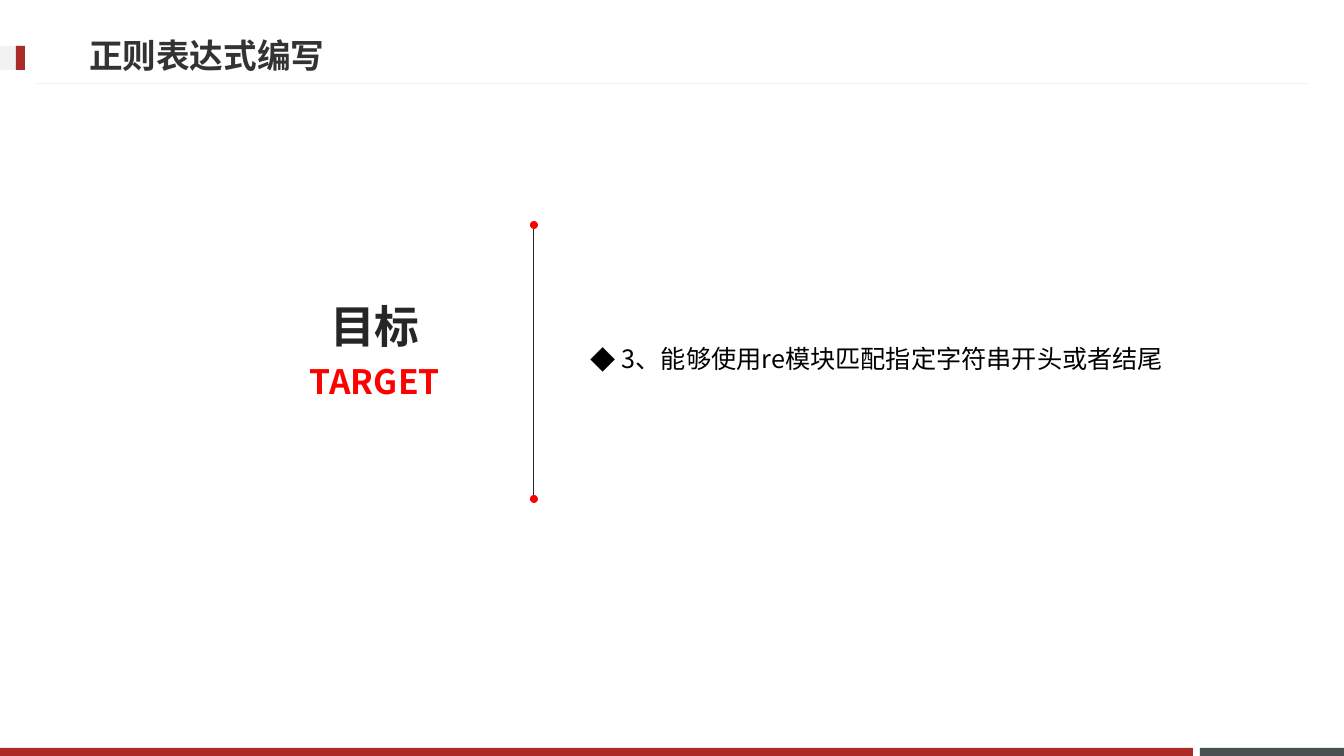
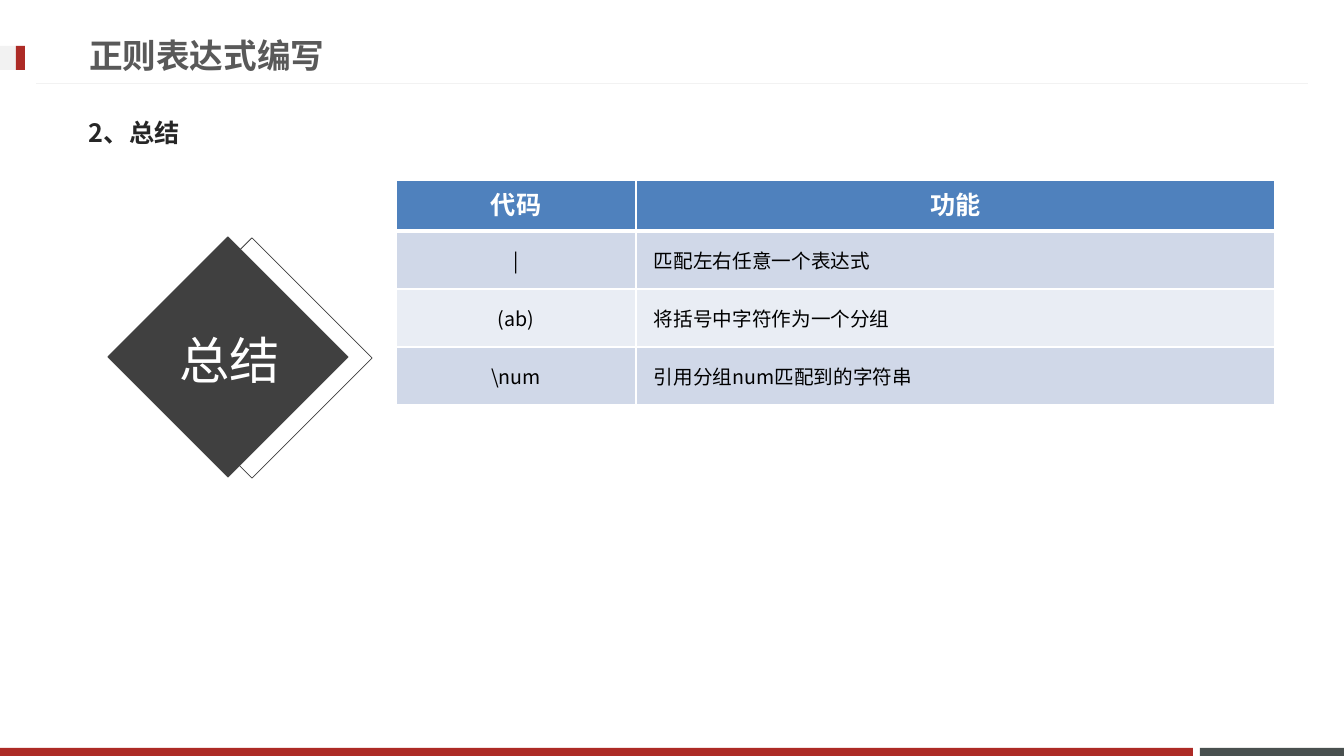
from dataclasses import dataclass

from lxml.etree import SubElement
from pptx import Presentation
from pptx.dml.color import RGBColor
from pptx.enum.shapes import MSO_CONNECTOR, MSO_SHAPE
from pptx.enum.text import MSO_ANCHOR, PP_ALIGN
from pptx.oxml.ns import qn
from pptx.util import Pt

WIDE, HIGH = 1344, 756
SCALE = 12192000 / WIDE


@dataclass(frozen=True)
class Theme:
    red: str = "AD2B26"
    slate: str = "49504F"
    pale: str = "F2F2F2"
    ink: str = "262626"
    dark: str = "404040"
    bright: str = "FF0000"
    white: str = "FFFFFF"
    black: str = "000000"
    head: str = "4F81BD"
    bands: tuple = ("D0D8E8", "E9EDF4")
    font: str = "Noto Sans CJK SC"
    cell: int = 14
    body: int = 18
    title: int = 24
    goal: int = 32
    badge: int = 36


T = Theme()


def px(size):
    return round(size * SCALE)


def rgb(code):
    return RGBColor.from_string(code)


def apply(item, **values):
    for name, value in values.items():
        setattr(item, name, value)


def paint(para, text, size, color, bold=False, font=T.font):
    """Add one run, with its font set for Latin and Chinese text."""
    run = para.add_run()
    run.text = text
    apply(run.font, size=Pt(size), bold=bold, name=font)
    run.font.color.rgb = rgb(color)
    SubElement(run.font._element, qn("a:ea"), typeface=T.font)


def label(slide, box, text, size, color, bold=True, font=T.font,
          inset=(10, 5), bullet=None, anchor=MSO_ANCHOR.MIDDLE, **layout):
    frame = slide.shapes.add_textbox(*map(px, box)).text_frame
    side, edge = map(px, inset)
    apply(frame, word_wrap=True, vertical_anchor=anchor,
          margin_left=side, margin_right=side,
          margin_top=edge, margin_bottom=edge)
    para = frame.paragraphs[0]
    apply(para, **layout)
    if bullet:
        props = para._p.get_or_add_pPr()
        SubElement(props, qn("a:buFont"), typeface=T.font)
        SubElement(props, qn("a:buChar"), char=bullet)
    paint(para, text, size, color, bold, font)


def shape(slide, box, fill=None, line=None, kind=MSO_SHAPE.RECTANGLE, turn=0):
    form = slide.shapes.add_shape(kind, *map(px, box))
    form.shadow.inherit = False
    form.rotation = turn
    if fill:
        form.fill.solid()
        form.fill.fore_color.rgb = rgb(fill)
    else:
        form.fill.background()
    if line:
        form.line.color.rgb = rgb(line)
        form.line.width = Pt(0.5)
    else:
        form.line.fill.background()


def rule(slide, start, end, color):
    line = slide.shapes.add_connector(
        MSO_CONNECTOR.STRAIGHT, *map(px, start + end))
    line.line.color.rgb = rgb(color)
    line.line.width = Pt(0.75)
    SubElement(line._element.spPr, qn("a:effectLst"))


def page(deck, color, font):
    """Add a slide with the shared bands, rule and title."""
    slide = deck.slides.add_slide(deck.slide_layouts[6])
    shape(slide, (1200, 748, 144, 8), T.slate)
    shape(slide, (0, 748, 1193, 8), T.red)
    rule(slide, (1308, 84), (36, 84), T.pale)
    shape(slide, (0, 46, 25, 24), T.pale)
    shape(slide, (16, 46, 9, 24), T.red)
    label(slide, (79, 27, 967, 57), "正则表达式编写", T.title, color, font=font)
    return slide


def border(cell, **widths):
    """Draw white cell edges; widths in points by side L, R, T, B."""
    props = cell._tc.get_or_add_tcPr()
    for side, width in widths.items():
        edge = SubElement(props, qn(f"a:ln{side}"), w=str(Pt(width)))
        fill = SubElement(edge, qn("a:solidFill"))
        SubElement(fill, qn("a:srgbClr"), val=T.white)


def grid(slide, spot, cols, rows, data):
    table = slide.shapes.add_table(
        len(rows), len(cols),
        *map(px, (*spot, sum(cols), sum(rows)))).table
    apply(table, first_row=False, horz_banding=False)
    for col, width in zip(table.columns, cols):
        col.width = px(width)
    for r, (row, height, texts) in enumerate(zip(table.rows, rows, data)):
        row.height = px(height)
        for c, (cell, text) in enumerate(zip(row.cells, texts)):
            border(cell, L=1, R=1, T=3 if r == 1 else 1, B=1 if r else 3)
            cell.fill.solid()
            para = cell.text_frame.paragraphs[0]
            if r == 0 or c == 0:
                para.alignment = PP_ALIGN.CENTER
            if r == 0:
                cell.fill.fore_color.rgb = rgb(T.head)
                paint(para, text, T.body, T.white, True, "Calibri")
                continue
            cell.fill.fore_color.rgb = rgb(T.bands[(r - 1) % 2])
            apply(cell, vertical_anchor=MSO_ANCHOR.MIDDLE,
                  margin_left=px(18), margin_right=px(18),
                  margin_top=px(8), margin_bottom=px(8))
            paint(para, text, T.cell, T.black)


def target(deck):
    slide = page(deck, "333333", "Roboto")
    tight = {"inset": (7, 4), "line_spacing": 0.9}
    label(slide, (280, 284, 190, 90), "目标", T.goal, T.ink,
          alignment=PP_ALIGN.CENTER, **tight)
    rule(slide, (534, 225), (534, 495), T.ink)
    for top in (221, 495):
        shape(slide, (530, top, 8, 8), T.bright, kind=MSO_SHAPE.OVAL)
    label(slide, (303, 356, 233, 56), "TARGET", T.title, T.bright, **tight)
    label(slide, (581, 308, 601, 132), " 3、能够使用re模块匹配指定字符串开头或者结尾",
          T.body, T.black, bold=False, bullet="◆",
          anchor=MSO_ANCHOR.TOP, line_spacing=Pt(43.5))


def summary(deck):
    slide = page(deck, "595959", "Arial")
    label(slide, (79, 104, 1185, 57), "2、总结", T.body, T.ink,
          font="Noto Sans CJK JP")
    for left, top, fill in ((167, 273, None), (143, 272, T.dark)):
        shape(slide, (left, top, 170, 170), fill, T.dark, turn=45)
    label(slide, (19, 318, 422, 90), "总结", T.badge, T.white, bold=False,
          inset=(7, 4), alignment=PP_ALIGN.CENTER, line_spacing=0.9)
    grid(slide, (396, 180), (240, 639), (51, 58, 58, 58), (
        ("代码", "功能"),
        ("|", "匹配左右任意一个表达式"),
        ("(ab)", "将括号中字符作为一个分组"),
        ("\\num", "引用分组num匹配到的字符串"),
    ))


def main():
    deck = Presentation()
    apply(deck, slide_width=px(WIDE), slide_height=px(HIGH))
    target(deck)
    summary(deck)
    deck.save("out.pptx")


if __name__ == "__main__":
    main()
